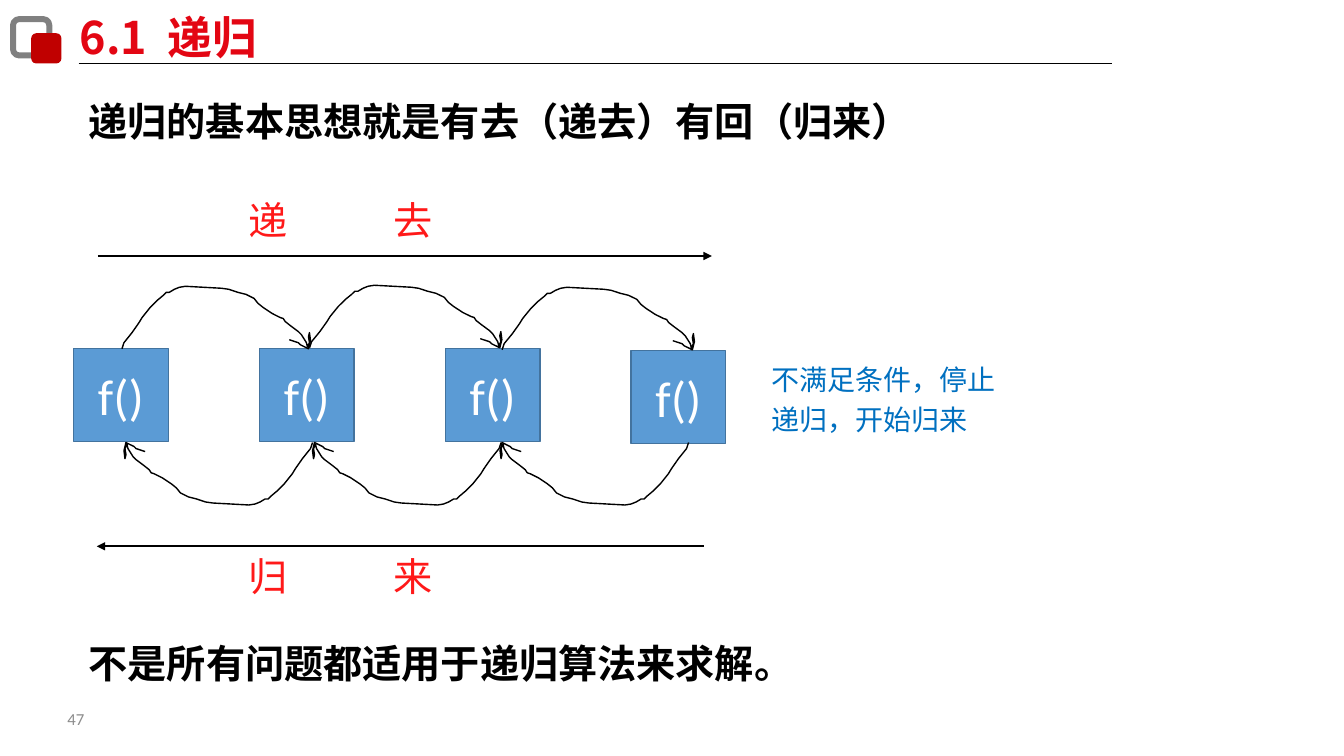
from lxml import etree
from pptx import Presentation
from pptx.dml.color import RGBColor
from pptx.enum.shapes import MSO_CONNECTOR, MSO_SHAPE as SHAPE
from pptx.enum.text import MSO_ANCHOR as ANCHOR, MSO_AUTO_SIZE, PP_ALIGN as ALIGN
from pptx.oxml.ns import qn
from pptx.util import Inches, Pt

CJK = "Noto Sans CJK SC"
BLACK, WHITE, RED = "000000", "FFFFFF", "FF1919"

# One jump between neighbouring calls: (across, up) in inches, ending in the arrowhead.
JUMP = [
    (0, 0), (.02, .06), (.1, .16), (.17, .26), (.2, .31), (.28, .41), (.35, .48),
    (.41, .53), (.44, .56), (.47, .56), (.52, .59), (.57, .61), (.63, .62),
    (.99, .6), (1.06, .59), (1.15, .56), (1.23, .54), (1.31, .5), (1.35, .45),
    (1.4, .41), (1.49, .35), (1.57, .31), (1.6, .3), (1.62, .27), (1.67, .23),
    (1.75, .17), (1.78, .14), (1.83, .06), (1.84, .02), (1.86, .06), (1.85, .12),
    (1.86, .16), (1.87, .08), (1.85, 0), (1.77, .04), (1.75, .06), (1.72, .07),
    (1.66, .09),
]


def rgb(color):
    return RGBColor.from_string(color)


class RecursionSlide:
    def __init__(self, prs):
        self.s = prs.slides.add_slide(prs.slide_layouts[5])
        self.shapes = self.s.shapes

    def set_text(self, sp, text, size=28, color=BLACK, font=CJK, bold=False,
                 align=ALIGN.LEFT, anchor=ANCHOR.TOP, spacing=None, tab=None):
        """Fill a shape with one paragraph; tab is a tab stop in inches."""
        tf = sp.text_frame
        tf.word_wrap, tf.auto_size = True, MSO_AUTO_SIZE.NONE
        tf.vertical_anchor = anchor
        p = tf.paragraphs[0]
        p.alignment = align
        if spacing:
            p.line_spacing = spacing
        if tab:
            tabs = etree.SubElement(p._p.get_or_add_pPr(), qn("a:tabLst"))
            etree.SubElement(tabs, qn("a:tab"), pos=str(Inches(tab)), algn="l")
        r = p.add_run()
        r.text = text
        r.font.size, r.font.bold, r.font.name = Pt(size), bold, font
        r.font.color.rgb = rgb(color)
        etree.SubElement(r._r.get_or_add_rPr(), qn("a:ea"), typeface=CJK)

    def title(self, text, x, y, w, h, **fmt):
        sp = self.shapes.title
        sp.left, sp.top, sp.width, sp.height = map(Inches, (x, y, w, h))
        self.set_text(sp, text, **fmt)

    def text(self, text, x, y, w, h, **fmt):
        sp = self.shapes.add_textbox(*map(Inches, (x, y, w, h)))
        self.set_text(sp, text, **fmt)

    def paint(self, sp, fill=None, line=None, width=1):
        sp.shadow.inherit = False
        if fill:
            sp.fill.solid()
            sp.fill.fore_color.rgb = rgb(fill)
        else:
            sp.fill.background()
        if line:
            sp.line.color.rgb = rgb(line)
            sp.line.width = Pt(width)
        else:
            sp.line.fill.background()

    def shape(self, kind, x, y, w, h, **style):
        sp = self.shapes.add_shape(kind, *map(Inches, (x, y, w, h)))
        self.paint(sp, **style)
        return sp

    def line(self, x1, x2, y, width, arrow=False):
        c = self.shapes.add_connector(
            MSO_CONNECTOR.STRAIGHT, *map(Inches, (x1, y, x2, y)))
        c.line.color.rgb = rgb(BLACK)
        c.line.width = Pt(width)
        if arrow:
            etree.SubElement(c.line._get_or_add_ln(), qn("a:tailEnd"), type="triangle")
        etree.SubElement(c._element.spPr, qn("a:effectLst"))

    def jump(self, x, y, turn=1, stretch=1):
        """Draw a jump from (x, y); turn=-1 rotates it by half a turn."""
        points = [(Inches(x + turn * stretch * dx), Inches(y - turn * dy))
                  for dx, dy in JUMP]
        builder = self.shapes.build_freeform(*points[0])
        builder.add_line_segments(points[1:], close=False)
        self.paint(builder.convert_to_shape(), line=BLACK)


def main():
    prs = Presentation()
    prs.slide_width, prs.slide_height = Inches(13.33), Inches(7.5)
    page = RecursionSlide(prs)

    page.shape(SHAPE.ROUNDED_RECTANGLE, .13, .19, .36, .36, line="808080", width=4.25)
    page.shape(SHAPE.ROUNDED_RECTANGLE, .31, .33, .3, .3, fill="C00000")
    page.line(.78, 11.03, .63, .5)
    page.title("6.1  递归", .69, .05, 6.38, .64, size=32, color="E30613", bold=True)
    page.text("47", .57, 6.93, 3, .4, size=12, color="8C8C8C", font="Calibri",
              anchor=ANCHOR.MIDDLE)

    page.text("递归的基本思想就是有去（递去）有回（归来）", .78, .92, 12.13, .57,
              bold=True)
    page.text("不是所有问题都适用于递归算法来求解。", .78, 6.29, 7.62, .57, bold=True)

    for i, y in enumerate((3.46, 3.46, 3.46, 3.48)):
        call = page.shape(SHAPE.RECTANGLE, .73 + 1.843 * i, y, .94, .92,
                          fill="5B9BD5", line="43739E")
        page.set_text(call, "f()", size=36, color=WHITE, font="Calibri",
                      align=ALIGN.CENTER, anchor=ANCHOR.MIDDLE)

    for x, y, stretch in ((1.21, 3.46, 1), (3.07, 3.45, 1.02), (4.98, 3.47, 1.02)):
        page.jump(x, y, stretch=stretch)
    for x in (6.83, 4.97, 3.1):
        page.jump(x, 4.39, turn=-1)

    page.text("不满足条件，停止递归，开始归来", 7.55, 3.48, 2.44, .91, size=20,
              color="0070C0", font="Karla", spacing=1.2)

    for label, label_y, x1, x2, y in (("递\t去", 1.9, .97, 7.06, 2.54),
                                      ("归\t来", 5.43, 6.98, .96, 5.42)):
        page.line(x1, x2, y, 1.5, arrow=True)
        page.text(label, 2.37, label_y, 3.34, .57, color=RED, tab=1.43)

    prs.save("out.pptx")


if __name__ == "__main__":
    main()
